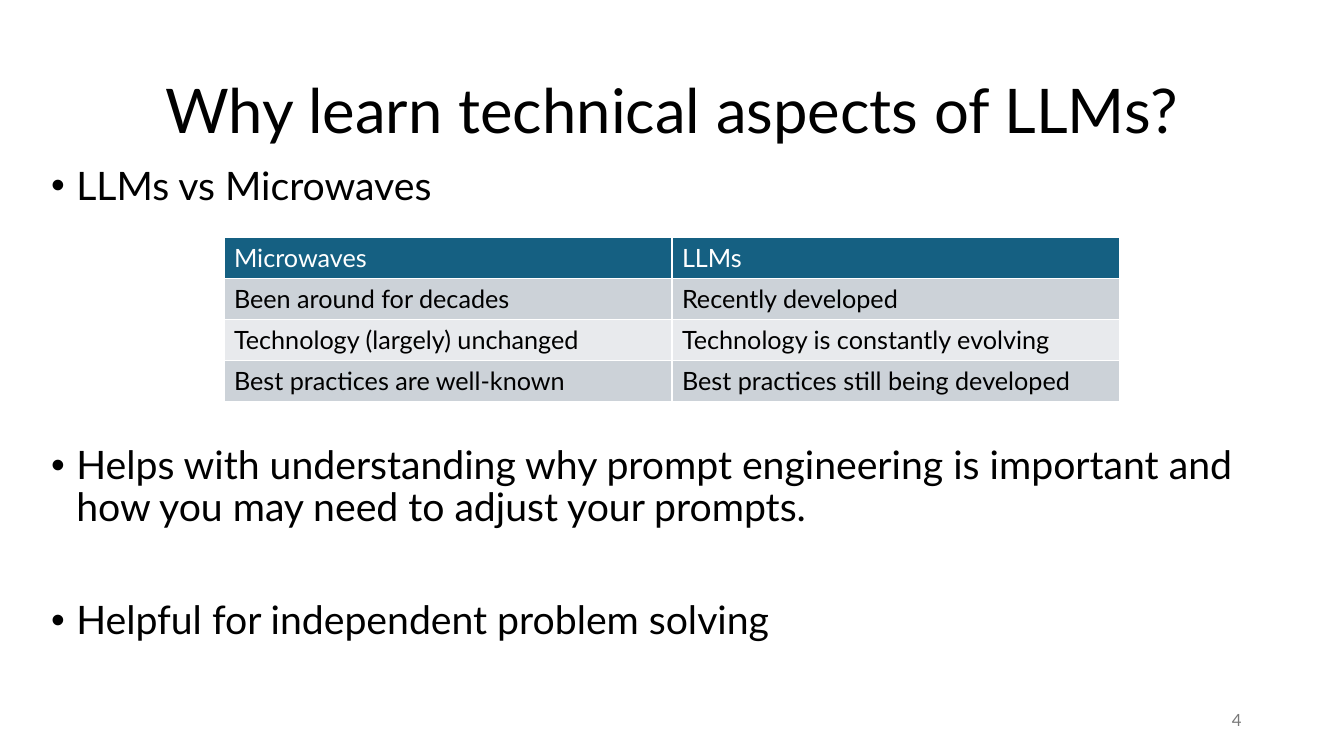
from dataclasses import dataclass

from lxml import etree
from pptx import Presentation
from pptx.dml.color import RGBColor
from pptx.enum.text import MSO_ANCHOR, PP_ALIGN
from pptx.oxml.ns import qn
from pptx.util import Pt

TOP, MIDDLE = MSO_ANCHOR.TOP, MSO_ANCHOR.MIDDLE
LEFT, CENTER, RIGHT = PP_ALIGN.LEFT, PP_ALIGN.CENTER, PP_ALIGN.RIGHT


@dataclass(frozen=True)
class Theme:
    """Colours, font and type sizes."""
    font: str = "Lato"
    ink: str = "000000"
    white: str = "FFFFFF"
    muted: str = "797979"
    header: str = "156082"
    bands: tuple = ("CCD2D8", "E8EAED")
    title: float = 44
    body: float = 28
    cell: float = 18
    number: float = 12
    leading: float = 0.9
    indent: float = 18


class SlideBuilder:
    """Draws themed elements on the current slide."""

    def __init__(self, slide, theme):
        self.slide = slide
        self.theme = theme

    def style(self, p, size, color):
        """Format the runs of a paragraph."""
        for r in p.runs:
            r.font.name = self.theme.font
            r.font.size = Pt(size)
            r.font.bold = False
            r.font.color.rgb = RGBColor.from_string(color)

    def frame(self, box, anchor=TOP):
        """Add a wrapping text box and return its text frame."""
        tf = self.slide.shapes.add_textbox(*map(Pt, box)).text_frame
        tf.word_wrap = True
        tf.vertical_anchor = anchor
        return tf

    def text(self, box, text, size, color, align):
        """Add one vertically centred line of text."""
        p = self.frame(box, MIDDLE).paragraphs[0]
        p.text = text
        p.alignment = align
        p.line_spacing = self.theme.leading
        self.style(p, size, color)

    def bullets(self, box, items):
        """Add bulleted paragraphs given as (space before, text)."""
        th = self.theme
        tf = self.frame(box)
        for i, (space, text) in enumerate(items):
            p = tf.add_paragraph() if i else tf.paragraphs[0]
            p.text = text
            p.alignment = LEFT
            p.line_spacing = th.leading
            p.space_before = Pt(space)
            pPr = p._p.get_or_add_pPr()
            pPr.set("marL", str(Pt(th.indent)))
            pPr.set("indent", str(-Pt(th.indent)))
            etree.SubElement(pPr, qn("a:buFont"), typeface="Arial")
            etree.SubElement(pPr, qn("a:buChar"), char="•")
            self.style(p, th.body, th.ink)

    def table(self, box, rows):
        """Add a table with a header row and banded body rows."""
        th = self.theme
        table = self.slide.shapes.add_table(
            len(rows), len(rows[0]), *map(Pt, box)).table
        for i, row in enumerate(rows):
            fill = th.bands[(i - 1) % 2] if i else th.header
            for j, text in enumerate(row):
                cell = table.cell(i, j)
                cell.fill.solid()
                cell.fill.fore_color.rgb = RGBColor.from_string(fill)
                cell.text = text
                self.style(cell.text_frame.paragraphs[0], th.cell,
                           th.ink if i else th.white)


def main():
    """Build and save the slide."""
    theme = Theme()
    prs = Presentation()
    prs.slide_width, prs.slide_height = Pt(960), Pt(540)
    s = SlideBuilder(prs.slides.add_slide(prs.slide_layouts[6]), theme)
    s.text((66, 28.8, 828, 104.4), "Why learn technical aspects of LLMs?",
           theme.title, theme.ink, CENTER)
    s.bullets((29.5, 115.2, 908, 371.5), [
        (0, "LLMs vs Microwaves"),
        (169.4, "Helps with understanding why prompt engineering is important "
                "and how you may need to adjust your prompts."),
        (50.2, "Helpful for independent problem solving"),
    ])
    s.text((678, 500.5, 216, 28.8), "4", theme.number, theme.muted, RIGHT)
    s.table((160, 169.9, 640, 116.8), [
        ("Microwaves", "LLMs"),
        ("Been around for decades", "Recently developed"),
        ("Technology (largely) unchanged", "Technology is constantly evolving"),
        ("Best practices are well-known", "Best practices still being developed"),
    ])
    prs.save("out.pptx")


if __name__ == "__main__":
    main()
